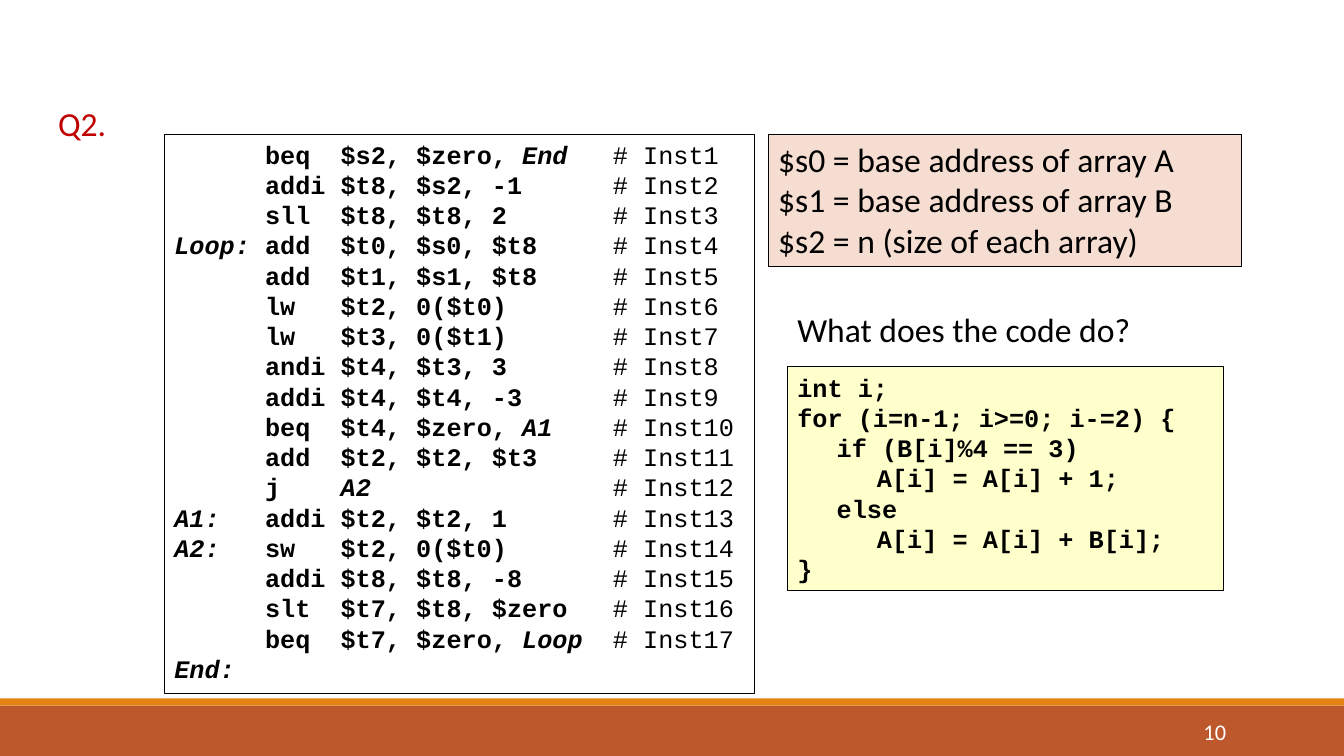
import pptx
import pptx.util
import pptx.dml.color
import pptx.enum.shapes
import pptx.enum.text
import lxml.etree

# Content: label, operation, operands, jump target
ASM = [
    ("", "beq", "$s2, $zero, ", "End"),
    ("", "addi", "$t8, $s2, -1", ""),
    ("", "sll", "$t8, $t8, 2", ""),
    ("Loop:", "add", "$t0, $s0, $t8", ""),
    ("", "add", "$t1, $s1, $t8", ""),
    ("", "lw", "$t2, 0($t0)", ""),
    ("", "lw", "$t3, 0($t1)", ""),
    ("", "andi", "$t4, $t3, 3", ""),
    ("", "addi", "$t4, $t4, -3", ""),
    ("", "beq", "$t4, $zero, ", "A1"),
    ("", "add", "$t2, $t2, $t3", ""),
    ("", "j", "", "A2"),
    ("A1:", "addi", "$t2, $t2, 1", ""),
    ("A2:", "sw", "$t2, 0($t0)", ""),
    ("", "addi", "$t8, $t8, -8", ""),
    ("", "slt", "$t7, $t8, $zero", ""),
    ("", "beq", "$t7, $zero, ", "Loop"),
]
LAST = "End:"
LOOP = [
    "int i;",
    "for (i=n-1; i>=0; i-=2) {",
    "\tif (B[i]%4 == 3)",
    "\t\tA[i] = A[i] + 1;",
    "\telse",
    "\t\tA[i] = A[i] + B[i];",
    "}",
]
REGS = [
    "$s0 = base address of array A",
    "$s1 = base address of array B",
    "$s2 = n (size of each array)",
]
TITLE, ASK, PAGE = "Q2.", "What does the code do?", "10"

# Style
HUES = {"ink": "000000", "red": "C00000", "white": "FFFFFF", "cream": "FFFFCC",
        "peach": "F5DDD2", "rust": "BD582C", "amber": "E48312"}
SANS, MONO = "Calibri", "Courier New"
LABEL, OP, ARGS = 6, 5, 18  # code columns, in characters
TABS = (0.39, 0.79)

# Layout, in inches
WIDE, HIGH = 13.33, 7.5
FOOT, BAND = 0.5, 0.07
TOP, LEFT, RIGHT = 1.33, 1.63, 7.81

Inch, Pt = pptx.util.Inches, pptx.util.Pt
FIT = pptx.enum.text.MSO_AUTO_SIZE
ANCHOR = pptx.enum.text.MSO_ANCHOR
ALIGN = pptx.enum.text.PP_ALIGN


def hue(name):
    return pptx.dml.color.RGBColor.from_string(HUES[name])


def add_box(slide, at, fill=None, line=None):
    box = slide.shapes.add_shape(pptx.enum.shapes.MSO_SHAPE.RECTANGLE,
                                 *[Inch(n) for n in at])
    box.shadow.inherit = False
    if fill:
        box.fill.solid()
        box.fill.fore_color.rgb = hue(fill)
    else:
        box.fill.background()
    if line:
        box.line.color.rgb = hue(line)
        box.line.width = Pt(0.75)
    else:
        box.line.fill.background()
    return box


def add_note(slide, at):
    return slide.shapes.add_textbox(*[Inch(n) for n in at])


def add_tabs(para):
    props = para._p.get_or_add_pPr()
    space = "{" + props.nsmap["a"] + "}"
    stops = lxml.etree.SubElement(props, space + "tabLst")
    for stop in TABS:
        lxml.etree.SubElement(stops, space + "tab", pos=str(Inch(stop)), algn="l")


def write(shape, rows, size, font, color="ink", align=ALIGN.LEFT,
          anchor=ANCHOR.TOP, fit=FIT.SHAPE_TO_FIT_TEXT, tabs=False):
    """Each row is a list of runs: (text, bold, italic)."""
    frame = shape.text_frame
    frame.word_wrap = True
    frame.auto_size = fit
    frame.vertical_anchor = anchor
    for i, row in enumerate(rows):
        para = frame.paragraphs[0] if i == 0 else frame.add_paragraph()
        para.alignment = align
        if tabs:
            add_tabs(para)
        for text, bold, slant in row:
            run = para.add_run()
            run.text = text
            run.font.name, run.font.size = font, Pt(size)
            run.font.bold, run.font.italic = bold, slant
            run.font.color.rgb = hue(color)


def plain(lines, bold=False):
    return [[(line, bold, False)] for line in lines]


def asm_row(num, label, op, args, goal):
    code = op.ljust(OP) + args
    pad = " " * (ARGS - len(args) - len(goal))
    head = label.ljust(LABEL)
    row = [(head, True, True), (code, True, False)] if label else [
        (head + code, True, False)]
    if goal:
        row.append((goal, True, True))
    row.append((f"{pad}# Inst{num}", False, False))
    return row


def main():
    deck = pptx.Presentation()
    deck.slide_width, deck.slide_height = Inch(WIDE), Inch(HIGH)
    slide = deck.slides.add_slide(deck.slide_layouts[5])

    # Footer bars
    add_box(slide, (0, HIGH - FOOT, WIDE, FOOT), "rust")
    add_box(slide, (0, HIGH - FOOT - BAND, WIDE, BAND), "amber")

    # Question number
    title = slide.shapes.title
    title.left, title.top, title.width, title.height = [
        Inch(n) for n in (0.32, 0.97, 0.99, 0.5)]
    write(title, plain([TITLE]), 24, SANS, "red", ALIGN.CENTER)

    # Assembly listing
    rows = [asm_row(num, *line) for num, line in enumerate(ASM, 1)]
    rows.append([(LAST, True, True)])
    write(add_box(slide, (LEFT, TOP, 5.85, 5.55), line="ink"), rows, 18, MONO)

    # Question and answer
    write(add_note(slide, (RIGHT, 3.02, 4.22, 0.5)), plain([ASK]), 24, SANS)
    write(add_box(slide, (RIGHT, 3.64, 4.33, 2.22), "cream", "ink"),
          plain(LOOP, True), 18, MONO, tabs=True)

    # Register meanings
    write(add_box(slide, (7.62, TOP, 4.69, 1.31), "peach", "ink"),
          plain(REGS), 24, SANS)

    # Page number
    write(add_note(slide, (10.83, 7.06, 1.43, 0.4)), plain([PAGE]), 16, SANS,
          "white", ALIGN.RIGHT, ANCHOR.MIDDLE, FIT.NONE)
    deck.save("out.pptx")


if __name__ == "__main__":
    main()
